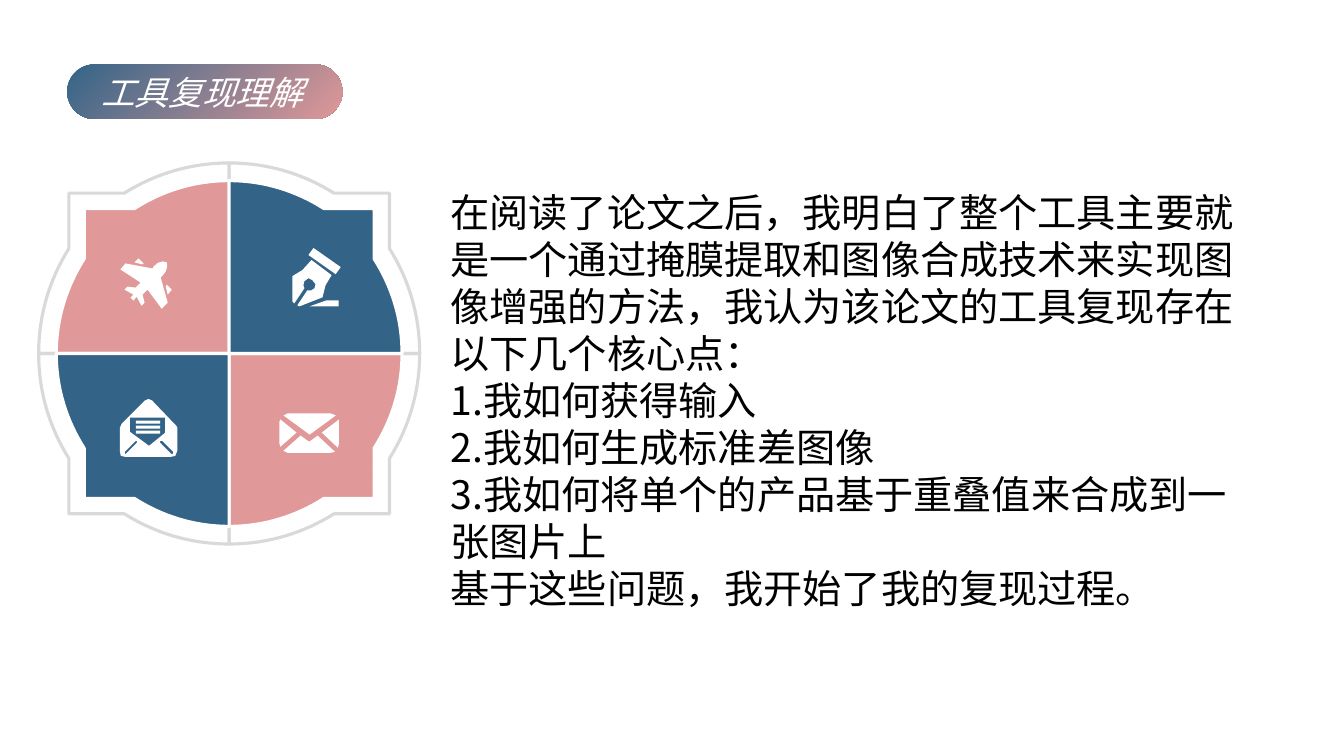
from lxml import etree
from pptx import Presentation
from pptx import util as u
from pptx.dml.color import RGBColor
from pptx.enum import shapes, text
from pptx.oxml import ns, parse_xml

# Content
TITLE = "工具复现理解"
BODY = [
    "在阅读了论文之后，我明白了整个工具主要就是一个通过掩膜提取和图像合成技术来实现图像增强的方法，"
    "我认为该论文的工具复现存在以下几个核心点：",
    "1.我如何获得输入",
    "2.我如何生成标准差图像",
    "3.我如何将单个的产品基于重叠值来合成到一张图片上",
    "基于这些问题，我开始了我的复现过程。",
]
FONT = "Noto Sans CJK SC"
BLUE = RGBColor(0x33, 0x64, 0x88)
PINK = RGBColor(0xE0, 0x98, 0x98)
GREY = RGBColor(0xD9, 0xD9, 0xD9)
WHITE = RGBColor(0xFF, 0xFF, 0xFF)
BLACK = RGBColor(0, 0, 0)

# Wheel: hub, then each quarter's side direction and colour
HUB = (163.7, 252.5)
QUADS = [(1, 1, PINK), (-1, -1, PINK), (1, -1, BLUE), (-1, 1, BLUE)]
# Radius, control points of the arc, corner start, corner reach
RING = (136.1, (28, 136.1), (53.5, 128), (74.9, 114.5), 114.5)
CORE = (123.5, (25, 123.5), (48.2, 116), (67.7, 103.5), 103.5)

# Icons: left, top, outlines on a grid of 0.72 pt
GRID = 0.72
MAIL = (199.6, 295.3, [
    [(8, 0), (51, 0), (56, 2), (30, 21), (4, 2)],
    [(59, 6), (42, 19), (58, 34), (59, 30), (59, 8)],
    [(55, 38), (51, 39), (8, 39), (4, 37), (21, 22), (28, 27), (30, 28),
     (31, 27), (38, 22)],
    [(1, 33), (17, 19), (1, 6), (0, 8), (0, 30)],
])
LINES = [[(16, y), (16, y + 3), (40, y + 3), (40, y)] for y in (22, 27, 32)]
LETTER = (85.6, 284.6, [
    [(54, 25), (56, 27), (57, 29), (57, 52), (55, 57), (50, 58), (6, 58),
     (1, 57), (0, 52), (0, 29), (2, 25), (25, 2), (28.5, 0.5), (32, 2)],
    [(10, 19), (10, 33), (29, 47), (45, 34), (45, 19)],
    [(6, 55), (17, 44), (17, 42), (16, 42), (5, 53), (5, 55)],
    [(53, 53), (42, 42), (40, 42), (40, 44), (51, 55), (53, 55)],
] + LINES)
PLANE = (86, 184.6, [
    [(46, 4), (46.5, 8), (45, 13), (42, 17), (40, 19), (47, 44), (41, 50),
     (27, 31), (22, 36), (24, 44), (21, 47), (16, 38), (13, 42), (10, 39),
     (13, 36), (4, 31), (7, 28), (15, 29), (20, 24), (0, 11), (5, 5),
     (32, 10), (33, 8), (37, 4.5), (42, 3)],
    [(51, 31), (46, 26), (45, 28), (47, 36)],
    [(18, 0), (14, 4), (22, 6), (23, 5)],
])
PEN = (208.8, 177.1, [
    [(2, 55), (0, 53), (0, 28), (10, 22), (19, 12), (39, 27), (33, 37),
     (30, 49), (7, 58), (5, 57), (15, 42), (19, 42), (22, 40), (23, 36),
     (20, 32), (16, 30), (12, 33), (11, 37), (12, 40)],
    [(17, 58), (46, 58), (46, 52), (34, 52)],
    [(43, 26), (48, 19), (21, 0), (16, 7)],
])

deck = Presentation()
deck.slide_width, deck.slide_height = u.Pt(960), u.Pt(540)
slide = deck.slides.add_slide(deck.slide_layouts[1])
tree = slide.shapes


def draw(loops, fill, line=None):
    """Draw closed outlines, given in points, as one shape."""
    loops = [[(u.Pt(x), u.Pt(y)) for x, y in loop] for loop in loops]
    pen = tree.build_freeform(*loops[0][0], scale=1.0)
    for num, loop in enumerate(loops):
        if num:
            pen.move_to(*loop[0])
        pen.add_line_segments(loop[1:], close=True)
    shape = pen.convert_to_shape()
    shape.shadow.inherit = False
    shape.fill.solid()
    shape.fill.fore_color.rgb = fill
    if line is None:
        shape.line.fill.background()
    else:
        shape.line.color.rgb = line
        shape.line.width = u.Pt(2.25)
    return shape


def arc(a, b, c, d, steps=16):
    """Points along a Bezier curve."""
    for i in range(steps + 1):
        t = i / steps
        mix = ((1 - t) ** 3, 3 * t * (1 - t) ** 2, 3 * t * t * (1 - t), t ** 3)
        yield tuple(sum(m * p[k] for m, p in zip(mix, (a, b, c, d)))
                    for k in (0, 1))


def wedge(size, dx, dy):
    """Outline of one quarter, mirrored about its diagonal."""
    rad, near, far, start, reach = size
    half = list(arc((0, rad), near, far, start))
    rim = half + [(reach, reach)] + [(y, x) for x, y in reversed(half)]
    return [(HUB[0] + dx * x, HUB[1] + dy * y) for x, y in rim + [(0, 0)]]


def glow(shape):
    """Give a shape a faint radial white."""
    stops = "".join(
        f'<a:gs pos="{pos}000"><a:srgbClr val="{WHITE}">'
        f'<a:alpha val="{alpha}000"/></a:srgbClr></a:gs>'
        for pos, alpha in ((35, 10), (100, 25)))
    grad = parse_xml(
        f'<a:gradFill {ns.nsdecls("a")}><a:gsLst>{stops}</a:gsLst>'
        '<a:path path="circle"><a:fillToRect l="50000" t="50000" r="50000" '
        'b="50000"/></a:path></a:gradFill>')
    props = shape._element.spPr
    props.replace(props.find(ns.qn("a:solidFill")), grad)


def write(holder, box, lines, size, color, slant, align, anchor, pitch=None):
    """Place a placeholder and fill it, on top of the other parts."""
    holder.left, holder.top, holder.width, holder.height = map(u.Pt, box)
    tree._spTree.append(holder._element)
    frame = holder.text_frame
    frame.word_wrap = True
    frame.auto_size = text.MSO_AUTO_SIZE.NONE
    frame.vertical_anchor = anchor
    for num, line in enumerate(lines):
        para = frame.add_paragraph() if num else frame.paragraphs[0]
        props = para._p.get_or_add_pPr()
        props.set("marL", "0")
        props.set("indent", "0")
        etree.SubElement(props, ns.qn("a:buNone"))
        para.alignment = align
        para.space_before = u.Pt(0)
        if pitch:
            para.line_spacing = u.Pt(pitch)
        run = para.add_run()
        run.text = line
        font = run.font
        font.name, font.size, font.italic = FONT, u.Pt(size), slant
        font.color.rgb = color
        latin = run._r.rPr.find(ns.qn("a:latin"))
        latin.addnext(latin.makeelement(ns.qn("a:ea"), {"typeface": FONT}))


# Wheel
for dx, dy, color in QUADS:
    glow(draw([wedge(RING, dx, dy)], WHITE, GREY))
    draw([wedge(CORE, dx, dy)], color, WHITE)

# Icons
for left, top, loops in (MAIL, LETTER, PLANE, PEN):
    draw([[(left + GRID * x, top + GRID * y) for x, y in loop]
          for loop in loops], WHITE)

# Title pill
pill = tree.add_shape(shapes.MSO_SHAPE.ROUNDED_RECTANGLE,
                      *map(u.Pt, (48, 46, 196.6, 39)))
pill.adjustments[0] = 0.5
pill.shadow.inherit = False
pill.line.fill.background()
pill.fill.gradient()
pill.fill.gradient_angle = 315
for stop, pos, color in zip(pill.fill.gradient_stops, (0, 1), (BLUE, PINK)):
    stop.position, stop.color.rgb = pos, color

# Title and body
write(tree.title, (63.4, 47.5, 162, 36), [TITLE], 24, WHITE, True,
      text.PP_ALIGN.CENTER, text.MSO_ANCHOR.MIDDLE)
write(slide.placeholders[1], (314.6, 131, 596.2, 312.5), BODY, 28, BLACK,
      False, text.PP_ALIGN.LEFT, text.MSO_ANCHOR.TOP, 33.6)

deck.save("out.pptx")
